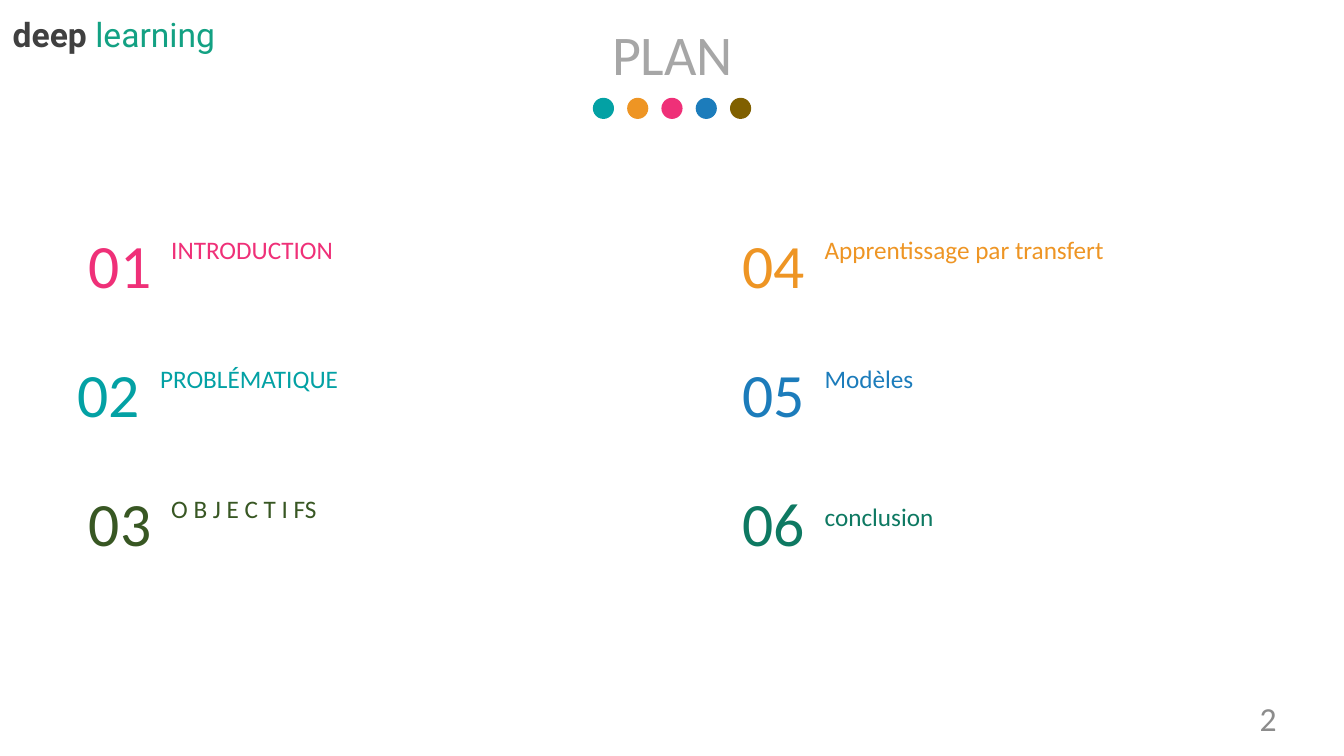
from pptx import Presentation
from pptx.dml.color import RGBColor
from pptx.enum.shapes import MSO_SHAPE
from pptx.enum.text import MSO_ANCHOR, MSO_AUTO_SIZE, PP_ALIGN
from pptx.util import Inches, Pt

TEAL = RGBColor(0x03, 0xA1, 0xA4)
ORANGE = RGBColor(0xEE, 0x95, 0x24)
PINK = RGBColor(0xEF, 0x30, 0x78)
BLUE = RGBColor(0x1C, 0x7C, 0xBB)
BROWN = RGBColor(0x80, 0x60, 0x00)
OLIVE = RGBColor(0x38, 0x57, 0x23)
GREEN = RGBColor(0x0E, 0x79, 0x62)
MINT = RGBColor(0x13, 0xA1, 0x83)
CHARCOAL = RGBColor(0x40, 0x40, 0x40)
TITLE_GRAY = RGBColor(0xA6, 0xA6, 0xA6)
NUMBER_GRAY = RGBColor(0x8C, 0x8C, 0x8C)


def add_run(paragraph, text, *, size, color, font="Calibri", bold=False):
    run = paragraph.add_run()
    run.text = text
    run.font.name = font
    run.font.size = Pt(size)
    run.font.bold = bold
    run.font.color.rgb = color


class PlanSlide:
    def __init__(self, presentation):
        self.slide = presentation.slides.add_slide(presentation.slide_layouts[5])

    def prepare(self, shape, align, anchor=MSO_ANCHOR.TOP):
        """Set up a text shape and return its first paragraph."""
        frame = shape.text_frame
        frame.word_wrap = True
        frame.auto_size = MSO_AUTO_SIZE.NONE
        frame.vertical_anchor = anchor
        paragraph = frame.paragraphs[0]
        paragraph.alignment = align
        return paragraph

    def title(self, text, left, top, width, height):
        shape = self.slide.shapes.title
        shape.left, shape.top = Inches(left), Inches(top)
        shape.width, shape.height = Inches(width), Inches(height)
        paragraph = self.prepare(shape, PP_ALIGN.CENTER)
        add_run(paragraph, text, size=40, color=TITLE_GRAY)

    def text(self, runs, left, top, width, height, align=PP_ALIGN.LEFT,
             anchor=MSO_ANCHOR.TOP, inset=True):
        shape = self.slide.shapes.add_textbox(
            Inches(left), Inches(top), Inches(width), Inches(height))
        paragraph = self.prepare(shape, align, anchor)
        if not inset:
            frame = shape.text_frame
            frame.margin_left = frame.margin_right = 0
            frame.margin_top = frame.margin_bottom = 0
        for text, style in runs:
            add_run(paragraph, text, **style)

    def dot(self, left, top, diameter, color):
        shape = self.slide.shapes.add_shape(
            MSO_SHAPE.OVAL, Inches(left), Inches(top),
            Inches(diameter), Inches(diameter))
        shape.shadow.inherit = False
        shape.fill.solid()
        shape.fill.fore_color.rgb = color
        shape.line.fill.background()

    def entry(self, number, label, color, left, top, label_drop, label_width):
        self.text([(label, dict(size=18, color=color))],
                  left + 1, top + label_drop, label_width, 0.4)
        self.text([(f"{number:02}", dict(size=44, color=color))],
                  left, top, 1, 0.84, PP_ALIGN.RIGHT)


def main():
    presentation = Presentation()
    presentation.slide_width = Inches(13.33)
    presentation.slide_height = Inches(7.5)
    plan = PlanSlide(presentation)

    # Title with its row of dots
    plan.title("PLAN", 2.69, 0.14, 7.96, 0.77)
    for index, color in enumerate((TEAL, ORANGE, PINK, BLUE, BROWN)):
        plan.dot(5.88 + 0.34 * index, 0.97, 0.21, color)

    # Plan entries: two columns of three, with left edge and label drop
    entries = [
        ("INTRODUCTION", PINK, 0.6, 0.08),
        ("PROBLÉMATIQUE", TEAL, 0.49, 0.08),
        ("O B J E C T I FS", OLIVE, 0.6, 0.08),
        ("Apprentissage par transfert", ORANGE, 7.08, 0.08),
        ("Modèles", BLUE, 7.08, 0.08),
        ("conclusion", GREEN, 7.08, 0.16),
    ]
    for index, (label, color, left, drop) in enumerate(entries):
        column, row = divmod(index, 3)
        plan.entry(index + 1, label, color, left, 2.2 + 1.28 * row, drop,
                   (5.07, 4.68)[column])

    # Course name and page number
    plan.text([("deep ", dict(size=24, color=CHARCOAL, font="Roboto", bold=True)),
               ("learning", dict(size=24, color=MINT, font="Roboto"))],
              -0.36, 0.14, 2.98, 0.4, PP_ALIGN.CENTER, inset=False)
    plan.text([("2", dict(size=24, color=NUMBER_GRAY))],
              9.76, 6.92, 3, 0.4, PP_ALIGN.RIGHT, MSO_ANCHOR.MIDDLE)

    presentation.save("out.pptx")


if __name__ == "__main__":
    main()
